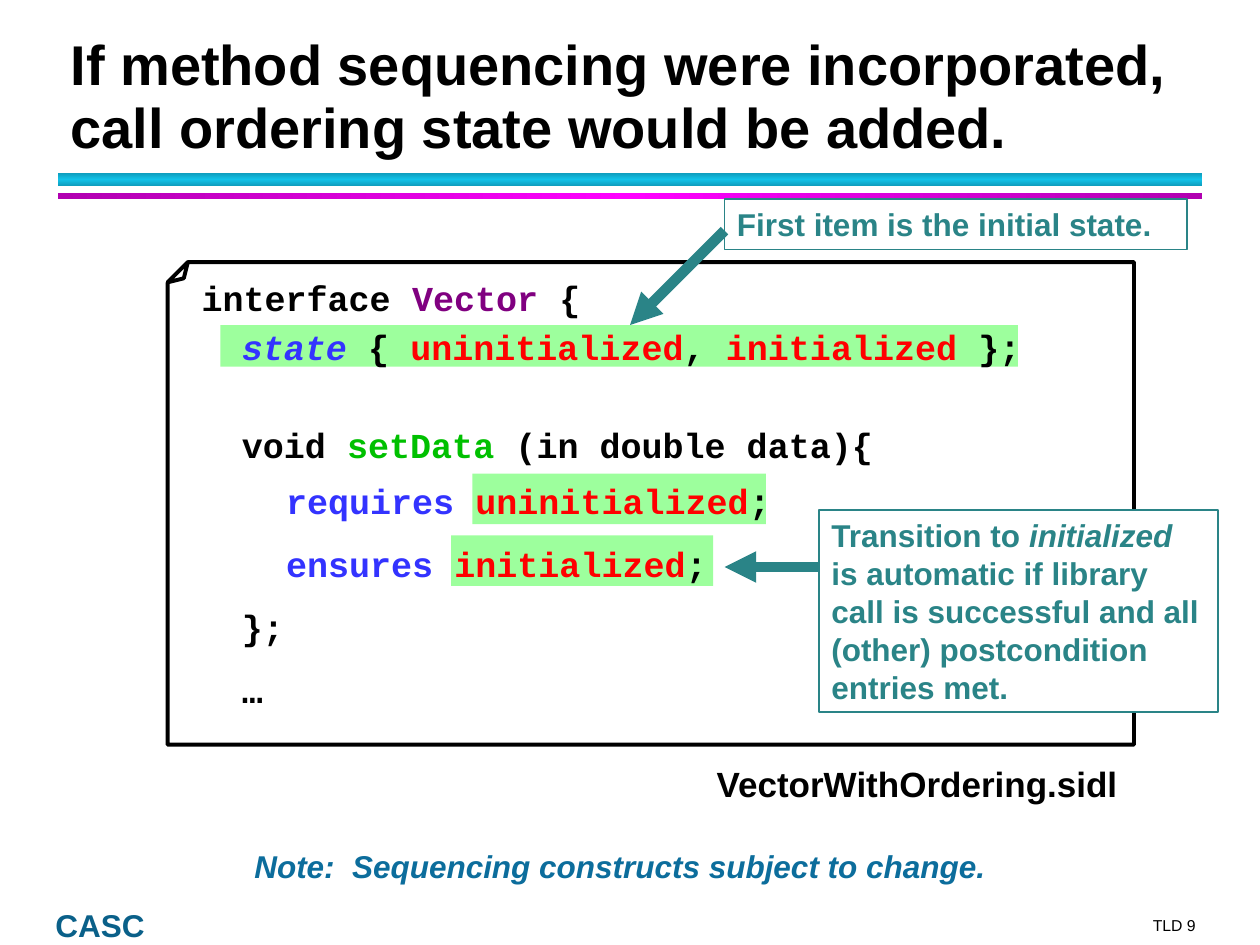
from copy import deepcopy
from dataclasses import dataclass

from lxml import etree
from pptx import Presentation
from pptx import util as u
from pptx.dml.color import RGBColor
from pptx.enum import shapes, text
from pptx.oxml.ns import qn

Inches, Pt = u.Inches, u.Pt
ALIGN, ANCHOR = text.PP_ALIGN, text.MSO_ANCHOR
RECT = shapes.MSO_SHAPE.RECTANGLE


@dataclass(frozen=True)
class Theme:
    sans: str = "Arial"
    mono: str = "Courier New"
    black: str = "000000"
    white: str = "FFFFFF"
    teal: str = "2A8487"
    brand: str = "0A6089"
    note: str = "0C6D9C"
    highlight: str = "9DFF9D"
    type_name: str = "800080"
    keyword: str = "3333FF"
    state: str = "FF0000"
    method: str = "00C000"
    cyan_rule: tuple = ("0E9AB9", "12C2E9", "0E9AB9")
    magenta_rule: tuple = ("B100B1", "FF00FF", "B100B1")
    title_size: int = 32
    code_size: int = 20
    label_size: int = 18
    small_size: int = 9


T = Theme()


def rgb(value):
    return RGBColor.from_string(value)


def inches(box):
    return [Inches(v) for v in box]


def add_text(p, value, size=T.label_size, font=T.sans, color=T.black, bold=True, italic=False):
    """Add one formatted run to a paragraph."""
    r = p.add_run()
    r.text = value
    f = r.font
    f.size, f.name, f.bold, f.italic = Pt(size), font, bold, italic
    f.color.rgb = rgb(color)


def set_frame(tf, wrap=True, anchor=ANCHOR.TOP, margins=(0.1, 0.05)):
    tf.auto_size = text.MSO_AUTO_SIZE.NONE
    tf.word_wrap = wrap
    tf.vertical_anchor = anchor
    tf.margin_left = tf.margin_right = Inches(margins[0])
    tf.margin_top = tf.margin_bottom = Inches(margins[1])


def add_box(s, box, fill=None, line=None, width=1, kind=RECT):
    sp = s.shapes.add_shape(kind, *inches(box))
    sp.shadow.inherit = False
    if fill:
        sp.fill.solid()
        sp.fill.fore_color.rgb = rgb(fill)
    else:
        sp.fill.background()
    if line:
        sp.line.color.rgb = rgb(line)
        sp.line.width = Pt(width)
    else:
        sp.line.fill.background()
    return sp


def add_label(s, box, value, align=ALIGN.LEFT, frame=None, **fmt):
    tf = s.shapes.add_textbox(*inches(box)).text_frame
    set_frame(tf, **(frame or {}))
    p = tf.paragraphs[0]
    p.alignment = align
    add_text(p, value, **fmt)
    return p


def add_rule(s, box, colors, angle):
    """Bar with an even three-colour gradient."""
    sp = add_box(s, box)
    sp.fill.gradient()
    sp.fill.gradient_angle = angle
    stops = sp._element.find(".//" + qn("a:gsLst"))
    stops.append(deepcopy(stops[-1]))
    for i, (stop, color) in enumerate(zip(sp.fill.gradient_stops, colors)):
        stop.position = i / 2
        stop.color.rgb = rgb(color)


def add_arrow(s, start, end):
    c = s.shapes.add_connector(shapes.MSO_CONNECTOR.STRAIGHT, *inches(start + end))
    c.line.color.rgb = rgb(T.teal)
    c.line.width = Pt(6)
    ln = c._element.spPr.find(qn("a:ln"))
    etree.SubElement(ln, qn("a:tailEnd"), type="triangle")
    etree.SubElement(c._element.spPr, qn("a:effectLst"))


def place(s, sp, box):
    """Move a placeholder to its box, in front of what is already drawn."""
    sp.left, sp.top, sp.width, sp.height = inches(box)
    s.shapes._spTree.append(sp._element)


def add_title(s, box, value):
    sp = s.shapes.title
    place(s, sp, box)
    set_frame(sp.text_frame, anchor=ANCHOR.BOTTOM)
    p = sp.text_frame.paragraphs[0]
    p.alignment = ALIGN.LEFT
    p.line_spacing = Pt(36)
    add_text(p, value, size=T.title_size)


def add_rules(s, box):
    x, y, w, _ = box
    add_rule(s, (x, y, w, 0.11), T.cyan_rule, 90)
    add_rule(s, (x, y + 0.16, w, 0.05), T.magenta_rule, 0)


def add_footer(s, box):
    x, y, w, h = box
    frame = dict(anchor=ANCHOR.BOTTOM, margins=(0, 0))
    add_label(s, (x, y, 0.77, h), "CASC", frame=frame, color=T.brand).line_spacing = Pt(20)
    add_label(s, (x + w - 0.73, y + 0.06, 0.73, 0.15), "TLD 9", ALIGN.RIGHT, frame,
              size=T.small_size, bold=False)


def add_code_page(s, box):
    x, y, w, h = box
    # Highlights, with the page outline around them
    for dx, dy, hw, hh in ((2.42, 1.68, 2.33, 0.4), (2.25, 2.17, 2.08, 0.4),
                           (0.42, 0.5, 6.33, 0.33)):
        add_box(s, (x + dx, y + dy, hw, hh), fill=T.highlight)
    page = add_box(s, box, line=T.black, width=2.25, kind=shapes.MSO_SHAPE.FOLDED_CORNER)
    page.rotation = 180
    guides = page._element.find(".//" + qn("a:avLst"))
    etree.SubElement(guides, qn("a:gd"), name="adj", fmla="val 4200")

    # Code lines: indent, (line spacing, space before, space after), coloured parts
    tight, loose = (22, 6, 0), (26, 6, 4)
    after_gap = (22, 34, 0)
    lines = [
        (0, (22, 0, 0), [("interface ", T.black), ("Vector", T.type_name), (" {", T.black)]),
        (0.32, tight, [("state", T.keyword), (" { ", T.black), ("uninitialized", T.state),
                       (", ", T.black), ("initialized", T.state), (" };", T.black)]),
        (0.32, after_gap, [("void ", T.black), ("setData", T.method),
                           (" (in double data){", T.black)]),
        (0.67, loose, [("requires ", T.keyword), ("uninitialized", T.state), (";", T.black)]),
        (0.67, loose, [("ensures ", T.keyword), ("initialized", T.state), (";", T.black)]),
        (0.32, loose, [("};", T.black)]),
        (0.32, loose, [("…", T.black)]),
    ]
    body = s.placeholders[1]
    place(s, body, (x + 0.17, y + 0.09, w - 0.34, h - 0.16))
    tf = body.text_frame
    set_frame(tf)
    for i, (indent, (spacing, before, after), parts) in enumerate(lines):
        p = tf.paragraphs[0] if i == 0 else tf.add_paragraph()
        pPr = p._p.get_or_add_pPr()
        pPr.set("marL", str(Inches(indent)))
        pPr.set("indent", "0")
        etree.SubElement(pPr, qn("a:buNone"))
        p.line_spacing = Pt(spacing)
        p.space_before, p.space_after = Pt(before), Pt(after)
        for value, color in parts:
            add_text(p, value, size=T.code_size, font=T.mono, color=color,
                     italic=value == "state")


def add_callout(s, box, parts, start, end):
    sp = add_box(s, box, fill=T.white, line=T.teal)
    set_frame(sp.text_frame)
    p = sp.text_frame.paragraphs[0]
    p.alignment = ALIGN.LEFT
    for value, italic in parts:
        add_text(p, value, color=T.teal, italic=italic)
    add_arrow(s, start, end)


def main():
    prs = Presentation()
    prs.slide_width, prs.slide_height = Inches(10), Inches(7.5)
    s = prs.slides.add_slide(prs.slide_layouts[1])

    add_footer(s, (0.44, 7.21, 9.05, 0.28))
    add_rules(s, (0.46, 1.37, 9.08, 0.21))
    add_title(s, (0.46, 0.33, 9.06, 0.99),
              "If method sequencing were incorporated, call ordering state would be added.")
    add_code_page(s, (1.33, 2.08, 7.67, 3.83))

    # File name and note
    add_label(s, (5.58, 6, 3.4, 0.44), "VectorWithOrdering.sidl", ALIGN.CENTER,
              dict(wrap=False), size=T.code_size)
    add_label(s, (1.92, 6.67, 6.25, 0.4), "Note:  Sequencing constructs subject to change.",
              color=T.note, italic=True)

    # Callouts
    add_callout(s, (5.75, 1.58, 3.67, 0.4), [("First item is the initial state.", False)],
                (5.75, 1.83), (5, 2.58))
    add_callout(s, (6.5, 4.05, 3.17, 1.6),
                [("Transition to ", False), ("initialized", True),
                 (" is automatic if library call is successful and all (other) "
                  "postcondition entries met.", False)],
                (6.5, 4.5), (5.75, 4.5))
    prs.save("out.pptx")


if __name__ == "__main__":
    main()
